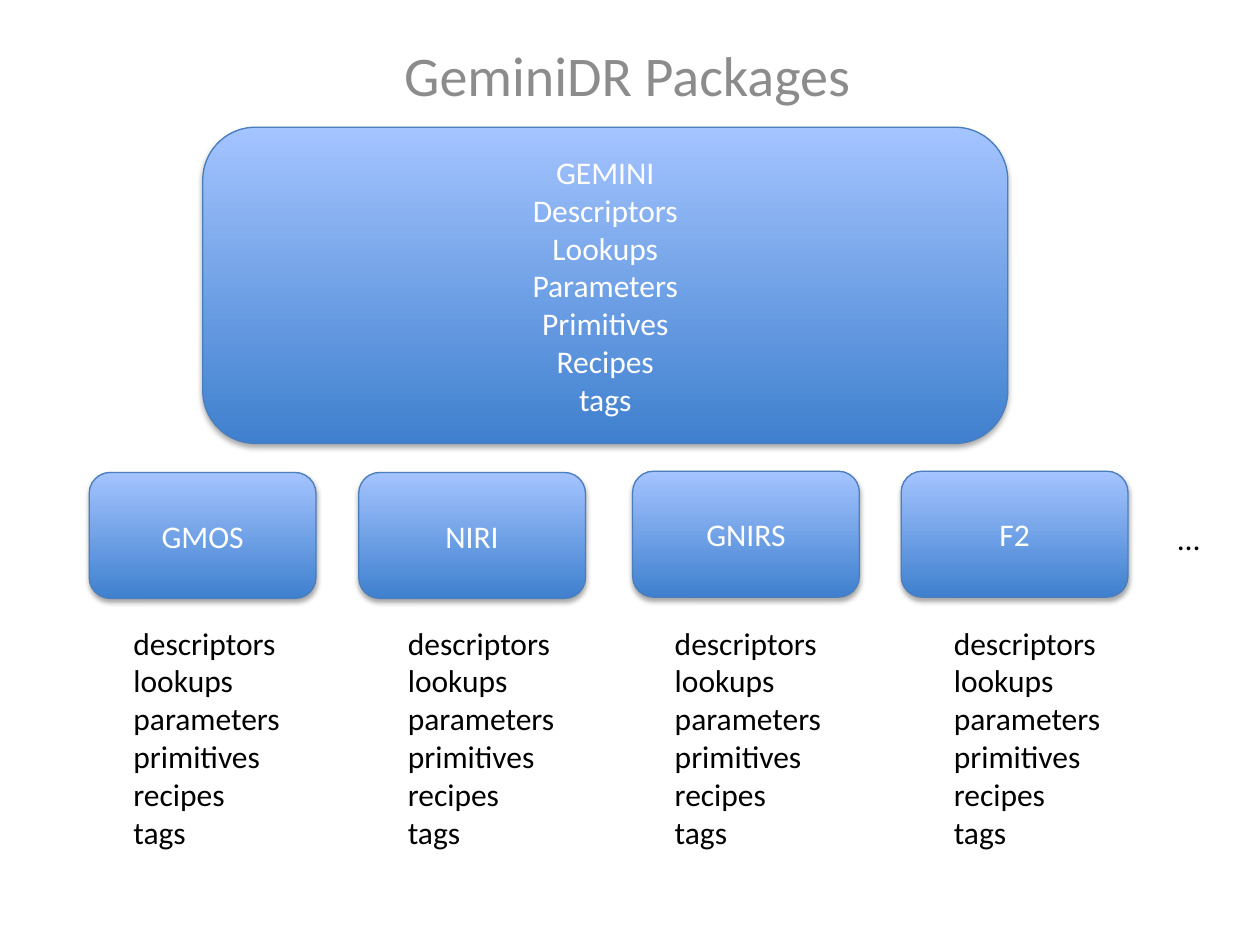
from lxml import etree
from pptx import Presentation
from pptx.dml.color import RGBColor
from pptx.enum.shapes import MSO_SHAPE
from pptx.enum.text import MSO_ANCHOR, MSO_AUTO_SIZE, PP_ALIGN
from pptx.oxml import parse_xml
from pptx.util import Pt

ROUND = MSO_SHAPE.ROUNDED_RECTANGLE
TOP, MID = MSO_ANCHOR.TOP, MSO_ANCHOR.MIDDLE
LEFT, CENTER = PP_ALIGN.LEFT, PP_ALIGN.CENTER
NONE, GROW = MSO_AUTO_SIZE.NONE, MSO_AUTO_SIZE.SHAPE_TO_FIT_TEXT

# Content
TITLE = "GeminiDR Packages"
CORE = ["GEMINI", "Descriptors", "Lookups", "Parameters", "Primitives",
        "Recipes", "tags"]
PARTS = ["descriptors", "lookups", "parameters", "primitives", "recipes",
         "tags"]
# Instrument, box left, box top, list left
PACKS = [("GMOS", 51, 270, 69.2), ("NIRI", 205, 270, 226),
         ("GNIRS", 361.5, 269.3, 378.5), ("F2", 515, 269.3, 538)]
COLORS = {"title": "8C8C8C", "low": "3F80CE", "high": "A4C4FF",
          "line": "4B7EBC", "light": "FFFFFF", "dark": "000000"}
SHADOW = """<a:effectLst
 xmlns:a="http://schemas.openxmlformats.org/drawingml/2006/main">
 <a:outerShdw blurRad="39370" dist="22860" dir="5400000" rotWithShape="0">
 <a:srgbClr val="000000"><a:alpha val="35000"/></a:srgbClr>
 </a:outerShdw></a:effectLst>"""


def color(name):
    return RGBColor.from_string(COLORS[name])


def place(shape, *area):
    shape.left, shape.top, shape.width, shape.height = map(Pt, area)


def write(shape, lines, size=18, ink="dark", align=LEFT, anchor=TOP,
          wrap=True, fit=NONE):
    frame = shape.text_frame
    frame.text = "\n".join(lines)
    frame.word_wrap = wrap
    frame.auto_size = fit
    frame.vertical_anchor = anchor
    for para in frame.paragraphs:
        para.alignment = align
        font = para.runs[0].font
        font.name, font.size = "Calibri", Pt(size)
        font.color.rgb = color(ink)


def add_box(lines, *area):
    box = slide.shapes.add_shape(ROUND, *map(Pt, area))
    box.fill.gradient()
    box.fill.gradient_angle = 90
    for stop, name in zip(box.fill.gradient_stops, ("low", "high")):
        stop.color.rgb = color(name)
    box.line.color.rgb = color("line")
    box.line.width = Pt(0.75)
    box.shadow.inherit = False
    props = box._element.spPr
    for old in props.findall("{*}effectLst"):
        props.replace(old, parse_xml(etree.tostring(etree.fromstring(SHADOW))))
    write(box, lines, ink="light", align=CENTER, anchor=MID)


def add_text(lines, *area):
    text = slide.shapes.add_textbox(*map(Pt, area))
    write(text, lines, wrap=False, fit=GROW)


deck = Presentation()
deck.slide_width, deck.slide_height = Pt(720), Pt(540)
slide = deck.slides.add_slide(deck.slide_layouts[5])

# Title
title = slide.shapes.title
place(title, 24.5, 19.4, 668, 503)
write(title, [TITLE], size=32, ink="title", align=CENTER)

# Shared package
add_box(CORE, 115.9, 72.7, 460, 180.7)

# Instrument packages and their parts
for name, left, top, inset in PACKS:
    add_box([name], left, top, 129.6, 72)
for name, left, top, inset in PACKS:
    add_text(PARTS, inset, 352.8, 100, 138)
add_text(["…"], 666, 293, 27.4, 29)

deck.save("out.pptx")
